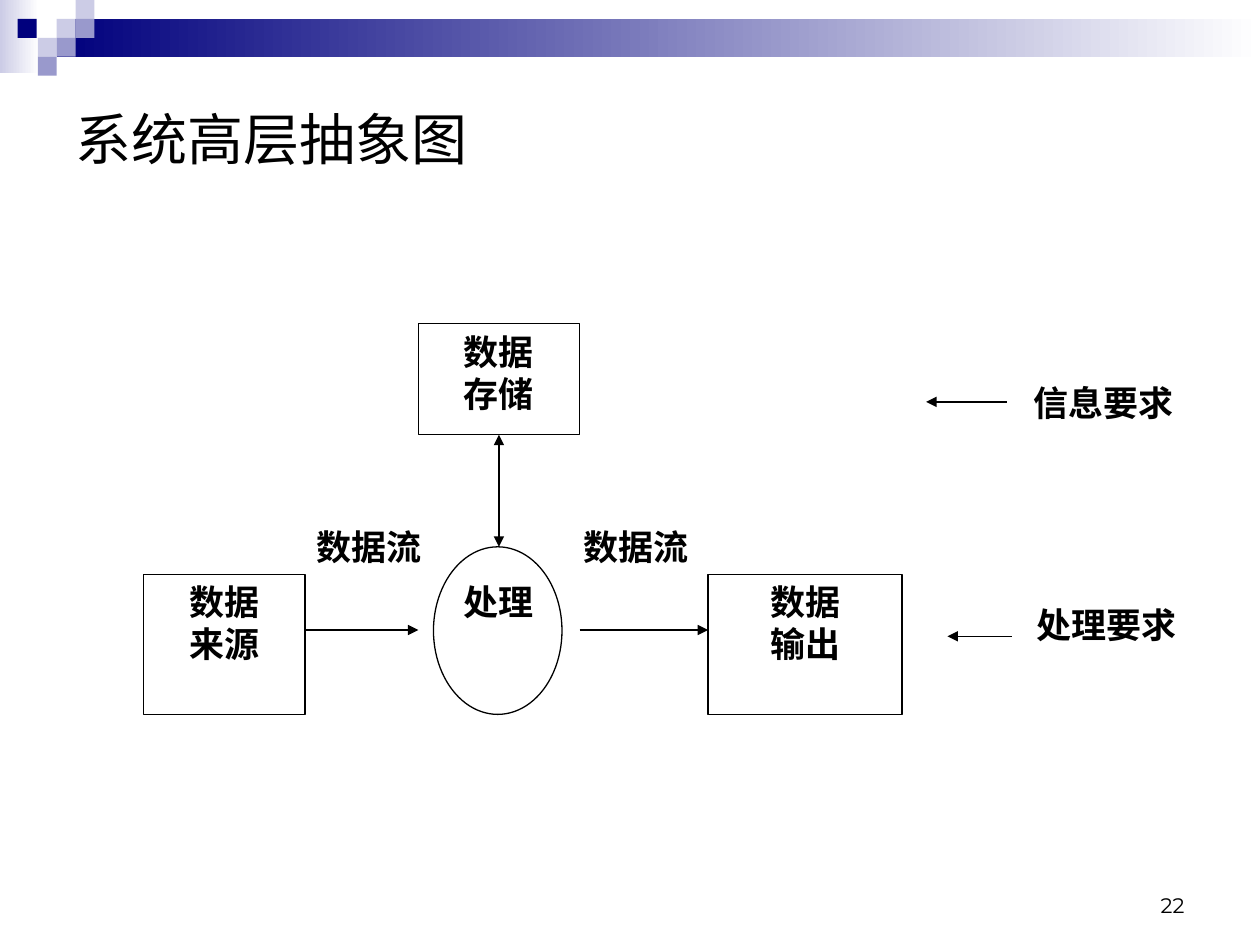
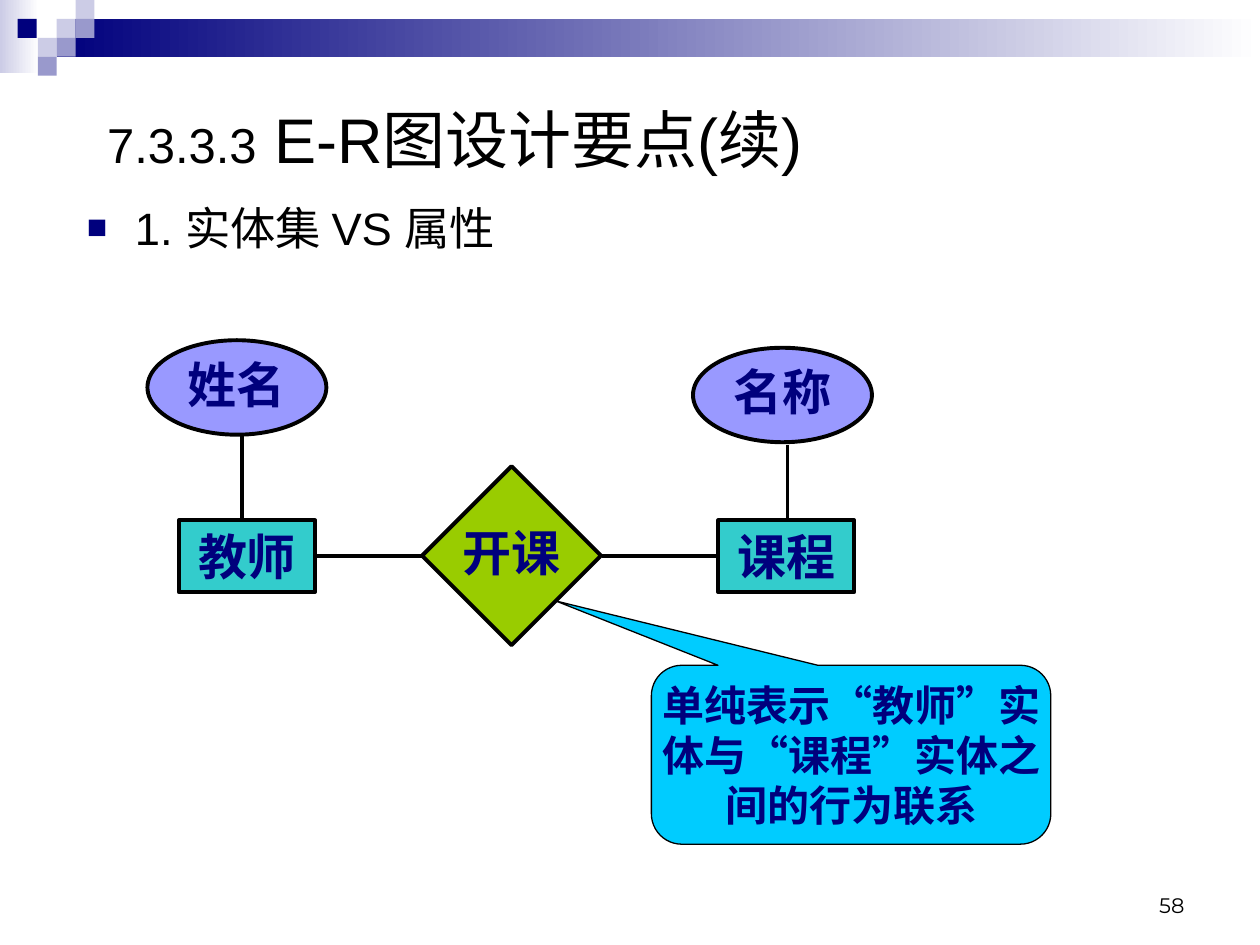
from lxml import etree
from pptx import Presentation
from pptx.dml.color import RGBColor
from pptx.enum.shapes import MSO_CONNECTOR, MSO_SHAPE
from pptx.enum.text import MSO_ANCHOR, MSO_AUTO_SIZE, PP_ALIGN
from pptx.oxml.ns import qn
from pptx.util import Inches, Pt

RECT, OVAL, DIAMOND = MSO_SHAPE.RECTANGLE, MSO_SHAPE.OVAL, MSO_SHAPE.DIAMOND
CALLOUT = MSO_SHAPE.ROUNDED_RECTANGULAR_CALLOUT
STRAIGHT = MSO_CONNECTOR.STRAIGHT
TOP, MIDDLE, BOTTOM = MSO_ANCHOR.TOP, MSO_ANCHOR.MIDDLE, MSO_ANCHOR.BOTTOM
LEFT, CENTER, RIGHT = PP_ALIGN.LEFT, PP_ALIGN.CENTER, PP_ALIGN.RIGHT
NO_FIT = MSO_AUTO_SIZE.NONE

BLACK, WHITE, NAVY = "000000", "FFFFFF", "00007D"
PALE, LILAC = "CCCCE6", "9999CC"
TEAL, GREEN, VIOLET, SKY = "33CCCC", "99CC00", "9999FF", "00CCFF"
THIN, THICK = 0.75, 2.25
TILE = 0.15
TITLE_LAYOUT, BODY_LAYOUT = 5, 1


def add_box(slide, kind, at, text="", fill=None, line=None, width=THIN, font="Times New Roman",
            size=20, bold=True, color=BLACK, align=CENTER, spacing=None, insets=(0, 0.05), **frame_format):
    """Draw a preset shape; fill is None, one colour or a pair for a gradient."""
    box = slide.shapes.add_shape(kind, *map(Inches, at))
    box.shadow.inherit = False
    if fill is None:
        box.fill.background()
    elif isinstance(fill, tuple):
        box.fill.gradient()
        box.fill.gradient_angle = 0
        for stop, stop_color in zip(box.fill.gradient_stops, fill):
            stop.color.rgb = RGBColor.from_string(stop_color)
    else:
        box.fill.solid()
        box.fill.fore_color.rgb = RGBColor.from_string(fill)
    if line:
        box.line.color.rgb = RGBColor.from_string(line)
        box.line.width = Pt(width)
    else:
        box.line.fill.background()
    if text:
        frame = box.text_frame
        side, edge = map(Inches, insets)
        settings = {"margin_left": side, "margin_right": side, "margin_top": edge, "margin_bottom": edge,
                    "vertical_anchor": TOP, "word_wrap": True, **frame_format}
        for name, value in settings.items():
            setattr(frame, name, value)
        frame.text = text
        for paragraph in frame.paragraphs:
            paragraph.alignment = align
            paragraph.line_spacing = spacing
            for name, value in {"name": font, "size": Pt(size), "bold": bold}.items():
                setattr(paragraph.font, name, value)
            paragraph.font.color.rgb = RGBColor.from_string(color)
    return box


def add_line(slide, start, end, width=THIN, arrows=()):
    """Draw a straight line; arrows names its ends with heads: headEnd, tailEnd."""
    line = slide.shapes.add_connector(STRAIGHT, *map(Inches, start + end))
    line.line.color.rgb = RGBColor.from_string(BLACK)
    line.line.width = Pt(width)
    outline = line.line._get_or_add_ln()
    for arrow in arrows:
        etree.SubElement(outline, qn("a:" + arrow), type="triangle")
    etree.SubElement(line._element.spPr, qn("a:effectLst"))


prs = Presentation()
prs.slide_width, prs.slide_height = Inches(10), Inches(7.5)

# Shared band, title and page number
band = [
    ((0, 0, 0.31, 0.58), (PALE, WHITE)),
    ((0.45, 0.15, 9.55, 0.3), (NAVY, WHITE)),
]
tiles = [(0.45, 0.15, PALE), (0.6, 0, PALE), (0.6, 0.15, LILAC), (0.3, 0.3, PALE),
         (0.14, 0.15, NAVY), (0.45, 0.3, LILAC), (0.3, 0.45, LILAC)]
band += [((left, top, TILE, TILE), color) for left, top, color in tiles]

pages = [
    (TITLE_LAYOUT, "22", (0.5, 0.64, 9, 0.91), [("系统高层抽象图", 32)]),
    (BODY_LAYOUT, "58", (0.75, 0.79, 8.5, 0.61), [("7.3.3.3", 28), (" E-R图设计要点(续)", 36)]),
]
slides = []
for layout, number, title_at, title_runs in pages:
    slide = prs.slides.add_slide(prs.slide_layouts[layout])
    slides.append(slide)
    for at, fill in band:
        add_box(slide, RECT, at, fill=fill)
    add_box(slide, RECT, (7.17, 6.83, 2.33, 0.5), number, font="Montserrat", size=12, bold=False,
            align=RIGHT, insets=(0.1, 0.05), vertical_anchor=BOTTOM)
    title = slide.shapes.title
    title.left, title.top, title.width, title.height = map(Inches, title_at)
    title.text_frame.auto_size = NO_FIT
    title.text_frame.vertical_anchor = MIDDLE
    heading = title.text_frame.paragraphs[0]
    heading.alignment = LEFT
    for text, size in title_runs:
        run = heading.add_run()
        run.text = text
        run.font.name, run.font.size = "Arial", Pt(size)
        run.font.color.rgb = RGBColor.from_string(BLACK)

abstraction, er_design = slides

# Slide 1: data flow between source, process, store and output
add_box(abstraction, OVAL, (3.44, 4.34, 1.02, 1.33), line=BLACK)
for at, text in [
    ((3.32, 2.57, 1.28, 0.88), "数据\n存储"),
    ((1.14, 4.56, 1.28, 1.11), "数据\n来源"),
    ((5.62, 4.56, 1.54, 1.11), "数据\n输出"),
]:
    add_box(abstraction, RECT, at, text, line=BLACK)
for at, text in [
    ((2.42, 4.12, 1.02, 0.88), "数据流"),
    ((4.47, 4.12, 1.15, 0.88), "数据流"),
    ((3.57, 4.56, 0.77, 0.66), "处理"),
    ((8.12, 2.98, 1.28, 0.9), "信息要求"),
    ((8.14, 4.74, 1.28, 0.71), "处理要求"),
]:
    add_box(abstraction, RECT, at, text)
for start, end in [
    ((2.42, 5), (3.32, 5)),
    ((4.6, 5), (5.62, 5)),
    ((7.99, 3.19), (7.35, 3.19)),
    ((8.03, 5.05), (7.52, 5.05)),
]:
    add_line(abstraction, start, end, arrows=["tailEnd"])
add_line(abstraction, (3.96, 3.45), (3.96, 4.34), arrows=["headEnd", "tailEnd"])

# Slide 2: entities, attributes and their relationship
topic = er_design.placeholders[1]
topic.left, topic.top, topic.width, topic.height = map(Inches, (0.59, 1.62, 8.5, 0.47))
topic.text_frame.auto_size = NO_FIT
topic.text_frame.text = "1. 实体集 VS 属性"
point = topic.text_frame.paragraphs[0]
properties = point._p.get_or_add_pPr()
properties.set("marL", str(Inches(0.38)))
properties.set("indent", str(-Inches(0.38)))
bullet_color = etree.SubElement(properties, qn("a:buClr"))
etree.SubElement(bullet_color, qn("a:srgbClr"), val=NAVY)
etree.SubElement(properties, qn("a:buSzPct"), val="75000")
etree.SubElement(properties, qn("a:buFont"), typeface="Arial")
etree.SubElement(properties, qn("a:buChar"), char="■")
point.line_spacing = 0.8
point.space_before = Pt(0)
point.font.name, point.font.size = "Arial", Pt(25.9)
point.font.color.rgb = RGBColor.from_string(BLACK)

er_style = {"line": BLACK, "width": THICK, "size": 28, "color": NAVY, "insets": (0.1, 0.05)}
for left, text in [(1.42, "教师"), (5.7, "课程")]:
    add_box(er_design, RECT, (left, 4.13, 1.08, 0.57), text, TEAL, **er_style)
for start, end in [
    ((2.52, 4.41), (3.35, 4.41)),
    ((4.78, 4.41), (5.7, 4.41)),
    ((1.92, 4.11), (1.92, 3.45)),
    ((6.25, 4.11), (6.25, 3.53)),
]:
    add_line(er_design, start, end, THICK)
for kind, at, text, fill in [
    (DIAMOND, (3.35, 3.7, 1.42, 1.42), "开课", GREEN),
    (OVAL, (1.17, 2.7, 1.42, 0.75), "姓名", VIOLET),
    (OVAL, (5.5, 2.76, 1.42, 0.75), "名称", VIOLET),
]:
    add_box(er_design, kind, at, text, fill, spacing=0.9, vertical_anchor=MIDDLE, word_wrap=False, **er_style)

remark = add_box(er_design, CALLOUT, (5.17, 5.28, 3.17, 1.42),
                 "单纯表示“教师”实体与“课程”实体之间的行为联系", SKY, BLACK,
                 size=24, color=NAVY, insets=(0, 0), vertical_anchor=MIDDLE)
for index, value in enumerate((-0.74, -0.86, 0.17)):
    remark.adjustments[index] = value

prs.save("out.pptx")
